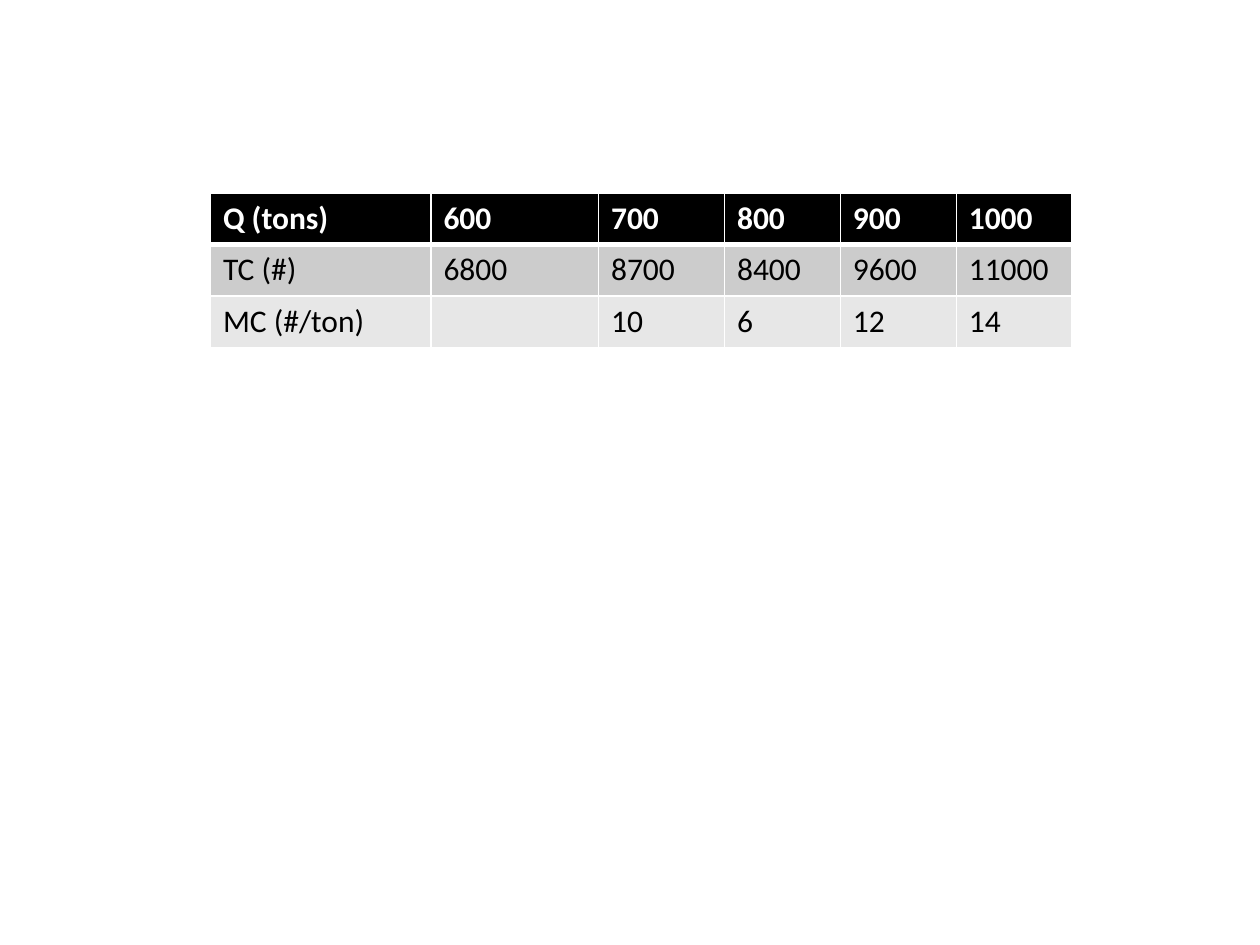
import pptx
import pptx.dml.color
import pptx.oxml
import pptx.oxml.ns
import pptx.util

ROWS = [
    ["Q (tons)", "600", "700", "800", "900", "1000"],
    ["TC (#)", "6800", "8700", "8400", "9600", "11000"],
    ["MC (#/ton)", "", "10", "6", "12", "14"],
]
ROW_FILLS = ["000000", "CCCCCC", "E7E7E7"]
ROW_INKS = ["FFFFFF", "000000", "000000"]
RULE_COLOUR = "FFFFFF"
THIN, THICK = 1, 3

SLIDE_WIDTH, SLIDE_HEIGHT = 10, 7.5
COLUMN_SHARES = [0.175, 0.133, 0.1, 0.092, 0.092, 0.092]
TABLE_LEFT, TABLE_TOP = 1.67, 1.53
ROW_HEIGHT = 0.41


def colour(value):
    return pptx.dml.color.RGBColor.from_string(value)


def add_borders(cell, widths):
    """Draw the left, right, top and bottom rules, with widths in points."""
    properties = cell._tc.get_or_add_tcPr()
    for side, width in zip("LRTB", widths):
        properties.append(pptx.oxml.parse_xml(
            f'<a:ln{side} {pptx.oxml.ns.nsdecls("a")} w="{pptx.util.Pt(width)}">'
            f'<a:solidFill><a:srgbClr val="{RULE_COLOUR}"/></a:solidFill>'
            f'</a:ln{side}>'))


def fill_cell(cell, text, row):
    top = THICK if row == 1 else THIN
    bottom = THICK if row == 0 else THIN
    add_borders(cell, (THIN, THIN, top, bottom))
    cell.fill.solid()
    cell.fill.fore_color.rgb = colour(ROW_FILLS[row])
    if text:
        span = cell.text_frame.paragraphs[0].add_run()
        span.text = text
        span.font.name = "Calibri"
        span.font.size = pptx.util.Pt(18)
        span.font.bold = row == 0
        span.font.color.rgb = colour(ROW_INKS[row])


def main():
    deck = pptx.Presentation()
    deck.slide_width = pptx.util.Inches(SLIDE_WIDTH)
    deck.slide_height = pptx.util.Inches(SLIDE_HEIGHT)
    page = deck.slides.add_slide(deck.slide_layouts[6])

    widths = [pptx.util.Inches(share * SLIDE_WIDTH) for share in COLUMN_SHARES]
    table = page.shapes.add_table(
        len(ROWS), len(widths),
        pptx.util.Inches(TABLE_LEFT), pptx.util.Inches(TABLE_TOP),
        sum(widths), pptx.util.Inches(ROW_HEIGHT * len(ROWS))).table
    for column, width in zip(table.columns, widths):
        column.width = width
    for row, texts in enumerate(ROWS):
        table.rows[row].height = pptx.util.Inches(ROW_HEIGHT)
        for column, text in enumerate(texts):
            fill_cell(table.cell(row, column), text, row)

    deck.save("out.pptx")


if __name__ == "__main__":
    main()
